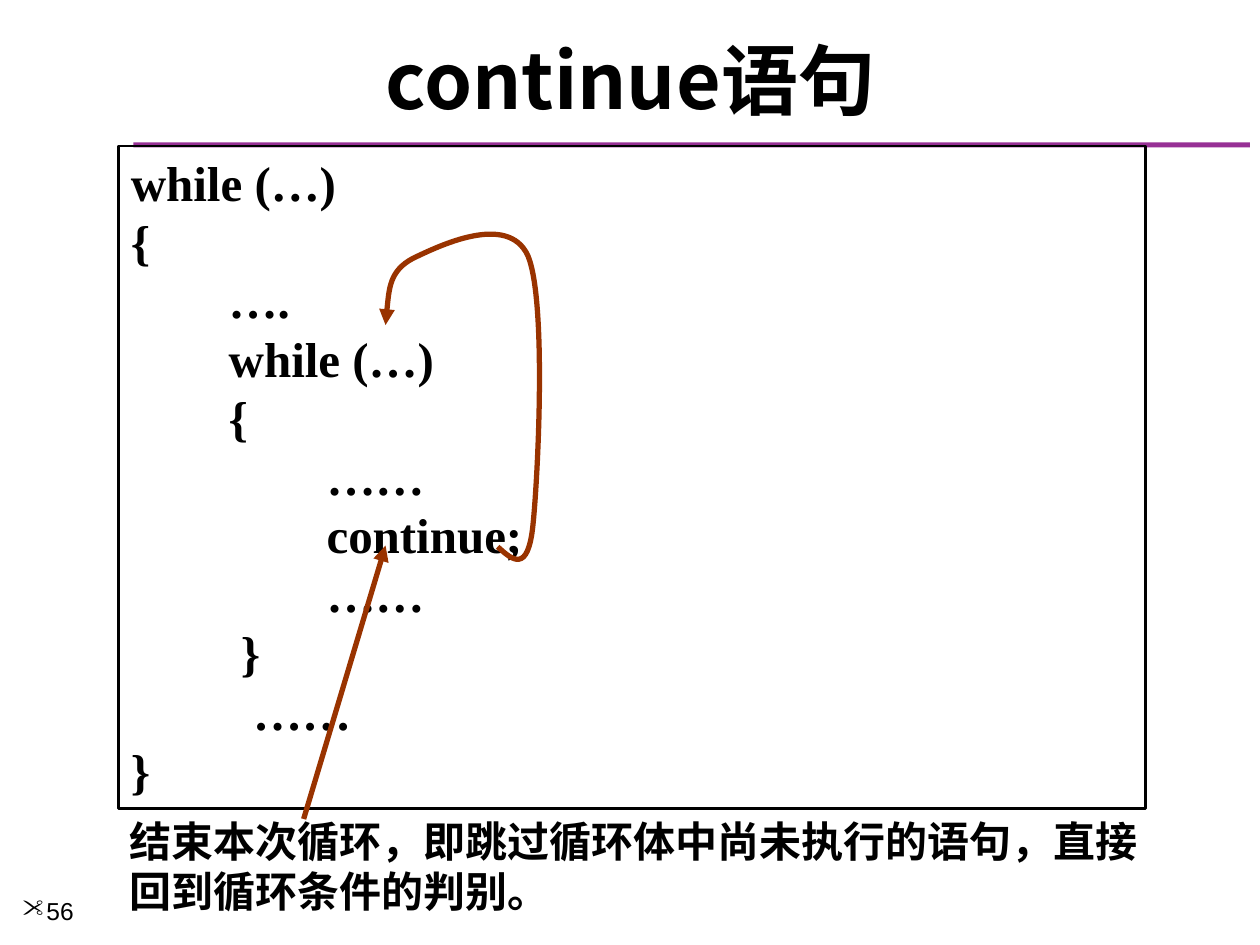
from lxml import etree
from pptx import Presentation
from pptx.dml.color import RGBColor
from pptx.enum.shapes import MSO_CONNECTOR, MSO_SHAPE
from pptx.enum.text import MSO_ANCHOR, PP_ALIGN
from pptx.oxml.ns import qn
from pptx.util import Inches, Pt

CJK = "Noto Sans CJK SC"
BLACK = "000000"
BROWN = "993300"

CODE = """while (…)
{
        ….
        while (…)
        {
                ……
                continue;
                ……
         }
          ……
}"""
NOTE = "结束本次循环，即跳过循环体中尚未执行的语句，直接\n回到循环条件的判别。"
JUMP = [(3.95, 4.34),
        (4.07, 4.45), (4.19, 4.55), (4.23, 4.17),
        (4.27, 3.79), (4.34, 2.39), (4.19, 2.03),
        (4.03, 1.68), (3.47, 1.96), (3.28, 2.05),
        (3.09, 2.15), (3.08, 2.36), (3.06, 2.58)]


def color(value):
    return RGBColor.from_string(value)


def write(sp, text, size, font, bold=True, align=PP_ALIGN.LEFT,
          anchor=MSO_ANCHOR.TOP, spacing=None, wrap=True):
    tf = sp.text_frame
    tf.word_wrap = wrap
    tf.vertical_anchor = anchor
    p = tf.paragraphs[0]
    p.alignment = align
    if spacing:
        p.line_spacing = Pt(spacing)
    for i, line in enumerate(text.split("\n")):
        if i:
            p.add_line_break()
        r = p.add_run()
        r.text = line
        r.font.size = Pt(size)
        r.font.bold = bold
        r.font.name = font
        r.font.color.rgb = color(BLACK)
        etree.SubElement(r.font._element, qn("a:ea"), typeface=CJK)
    return p


def add_box(s, x, y, w, h, fill=None, line=None):
    sp = s.shapes.add_shape(MSO_SHAPE.RECTANGLE, Inches(x), Inches(y), Inches(w), Inches(h))
    sp.shadow.inherit = False
    if fill:
        sp.fill.solid()
        sp.fill.fore_color.rgb = color(fill)
    else:
        sp.fill.background()
    if line:
        sp.line.color.rgb = color(line)
        sp.line.width = Pt(1.5)
    else:
        sp.line.fill.background()
    return sp


def add_text(s, x, y, w, h):
    return s.shapes.add_textbox(Inches(x), Inches(y), Inches(w), Inches(h))


def style_arrow(sp):
    sp.line.color.rgb = color(BROWN)
    sp.line.width = Pt(3)
    etree.SubElement(sp.line._get_or_add_ln(), qn("a:tailEnd"), type="triangle")


def add_arrow(s, x1, y1, x2, y2):
    cx = s.shapes.add_connector(MSO_CONNECTOR.STRAIGHT, Inches(x1), Inches(y1), Inches(x2), Inches(y2))
    style_arrow(cx)
    etree.SubElement(cx._element.spPr, qn("a:effectLst"))


def add_curved_arrow(s, points):
    start, *rest = [(Inches(x), Inches(y)) for x, y in points]
    fb = s.shapes.build_freeform(*start)
    fb.add_line_segments(rest, close=False)
    sp = fb.convert_to_shape()
    sp.shadow.inherit = False
    sp.fill.background()
    style_arrow(sp)
    outline = sp._element.find(".//" + qn("a:path"))
    segments = outline.findall(qn("a:lnTo"))
    for i in range(0, len(segments), 3):
        curve = etree.SubElement(outline, qn("a:cubicBezTo"))
        for segment in segments[i:i + 3]:
            curve.append(segment[0])
            outline.remove(segment)


def add_bullet(p, char, font, indent):
    pPr = p._p.get_or_add_pPr()
    pPr.set("marL", str(Inches(indent)))
    pPr.set("indent", str(-Inches(indent)))
    etree.SubElement(pPr, qn("a:buFont"), typeface=font)
    etree.SubElement(pPr, qn("a:buChar"), char=char)


def main():
    prs = Presentation()
    prs.slide_width, prs.slide_height = Inches(10), Inches(7.5)
    s = prs.slides.add_slide(prs.slide_layouts[6])

    add_box(s, 1.06, 1.13, 8.86, 0.04, fill="973095")
    write(add_text(s, 0.17, 0.25, 9.67, 0.75), "continue语句", 44, CJK,
          align=PP_ALIGN.CENTER, anchor=MSO_ANCHOR.MIDDLE)
    number = write(add_text(s, 0.08, 7.06, 1.08, 0.44), "56", 14, "Arial", bold=False)
    add_bullet(number, '"', "Wingdings", 0.19)

    write(add_box(s, 0.94, 1.16, 8.15, 5.26, line=BLACK), CODE, 28,
          "Times New Roman", spacing=33.6)
    write(add_text(s, 0.93, 6.42, 8.32, 0.91), NOTE, 24,
          "Times New Roman", spacing=28.8, wrap=False)
    add_arrow(s, 2.41, 6.5, 3.06, 4.33)
    add_curved_arrow(s, JUMP)
    prs.save("out.pptx")


if __name__ == "__main__":
    main()
